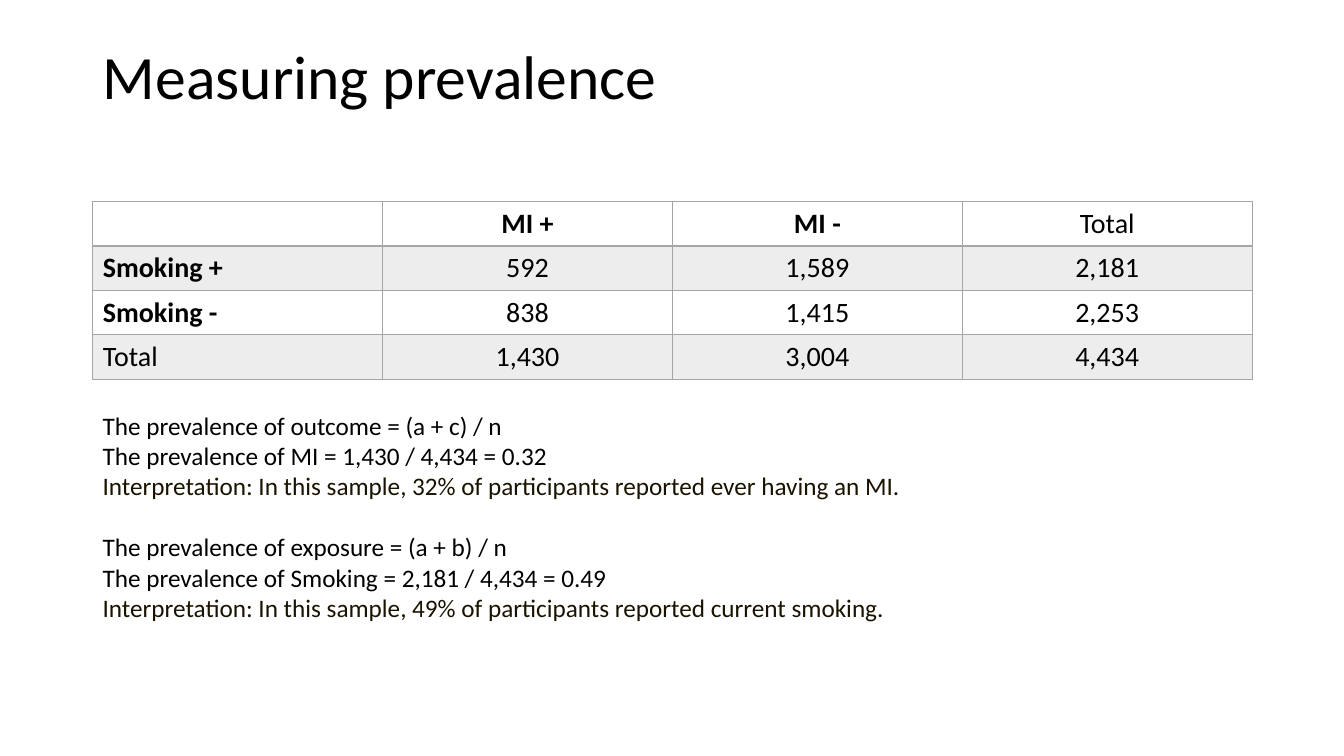
from dataclasses import dataclass

from lxml import etree
from pptx import Presentation
from pptx.dml.color import RGBColor
from pptx.enum.text import MSO_ANCHOR, MSO_AUTO_SIZE, PP_ALIGN
from pptx.oxml.ns import qn
from pptx.slide import Slide
from pptx.table import _Cell
from pptx.text.text import _Paragraph
from pptx.util import Inches, Pt

LEFT, CENTER = PP_ALIGN.LEFT, PP_ALIGN.CENTER
MIDDLE = MSO_ANCHOR.MIDDLE
NO_FIT, GROW = MSO_AUTO_SIZE.NONE, MSO_AUTO_SIZE.SHAPE_TO_FIT_TEXT

BLACK = RGBColor(0x00, 0x00, 0x00)
DARK_OLIVE = RGBColor(0x1A, 0x13, 0x00)
WHITE = RGBColor(0xFF, 0xFF, 0xFF)
BAND_GRAY = RGBColor(0xED, 0xED, 0xED)
BORDER_GRAY = RGBColor(0xA5, 0xA5, 0xA5)

FONT = "Calibri"
MARGIN = Inches(0.92)
CONTENT_WIDTH = Inches(11.5)
ROW_HEIGHT = Inches(0.44)

COUNTS = [
    ["", "MI +", "MI -", "Total"],
    ["Smoking +", "592", "1,589", "2,181"],
    ["Smoking -", "838", "1,415", "2,253"],
    ["Total", "1,430", "3,004", "4,434"],
]


@dataclass(frozen=True)
class Prevalence:
    formula: str
    calculation: str
    interpretation: str


PREVALENCES = [
    Prevalence(
        "The prevalence of outcome = (a + c) / n",
        "The prevalence of MI = 1,430 / 4,434 = 0.32",
        "Interpretation: In this sample, 32% of participants reported ever having an MI.",
    ),
    Prevalence(
        "The prevalence of exposure = (a + b) / n",
        "The prevalence of Smoking = 2,181 / 4,434 = 0.49",
        "Interpretation: In this sample, 49% of participants reported current smoking.",
    ),
]


def add_span(para: _Paragraph, text: str, size: int,
             color: RGBColor = BLACK, bold: bool = False) -> None:
    span = para.add_run()
    span.text = text
    span.font.name = FONT
    span.font.size = Pt(size)
    span.font.bold = bold
    span.font.color.rgb = color


def add_title(page: Slide) -> None:
    title = page.shapes.title
    title.left, title.top = MARGIN, Inches(0.4)
    title.width, title.height = CONTENT_WIDTH, Inches(0.78)
    frame = title.text_frame
    frame.auto_size = NO_FIT
    frame.vertical_anchor = MIDDLE
    para = frame.paragraphs[0]
    para.alignment = LEFT
    para.line_spacing = 0.9
    add_span(para, "Measuring prevalence", 44)


def set_borders(cell: _Cell, row: int) -> None:
    widths = {
        "a:lnL": 1,
        "a:lnR": 1,
        "a:lnT": 2 if row == 1 else 1,
        "a:lnB": 2 if row == 0 else 1,
    }
    properties = cell._tc.get_or_add_tcPr()
    for tag, width in widths.items():
        line = etree.SubElement(properties, qn(tag), w=str(Pt(width)))
        fill = etree.SubElement(line, qn("a:solidFill"))
        etree.SubElement(fill, qn("a:srgbClr"), val=str(BORDER_GRAY))


def add_counts_table(page: Slide) -> None:
    row_count, column_count = len(COUNTS), len(COUNTS[0])
    table = page.shapes.add_table(
        row_count, column_count, MARGIN, Inches(2),
        CONTENT_WIDTH, ROW_HEIGHT * row_count,
    ).table
    table.first_row = False
    table.horz_banding = False
    for row, values in enumerate(COUNTS):
        for column, value in enumerate(values):
            cell = table.cell(row, column)
            set_borders(cell, row)
            cell.fill.solid()
            cell.fill.fore_color.rgb = BAND_GRAY if row % 2 else WHITE
            para = cell.text_frame.paragraphs[0]
            para.alignment = CENTER if column else LEFT
            if value:
                is_heading = row == 0 or column == 0
                add_span(para, value, 20, bold=is_heading and value != "Total")


def add_prevalences(page: Slide) -> None:
    box = page.shapes.add_textbox(MARGIN, Inches(4.02), CONTENT_WIDTH, Inches(2.22))
    frame = box.text_frame
    frame.word_wrap = True
    frame.auto_size = GROW
    for index, prevalence in enumerate(PREVALENCES):
        first = frame.add_paragraph() if index else frame.paragraphs[0]
        if index:
            first.space_before = Pt(22)
        add_span(first, prevalence.formula, 18)
        add_span(frame.add_paragraph(), prevalence.calculation, 18)
        add_span(frame.add_paragraph(), prevalence.interpretation, 18, DARK_OLIVE)


def main() -> None:
    deck = Presentation()
    deck.slide_width, deck.slide_height = Inches(13.33), Inches(7.5)
    page = deck.slides.add_slide(deck.slide_layouts.get_by_name("Title Only"))
    add_title(page)
    add_counts_table(page)
    add_prevalences(page)
    deck.save("out.pptx")


if __name__ == "__main__":
    main()
